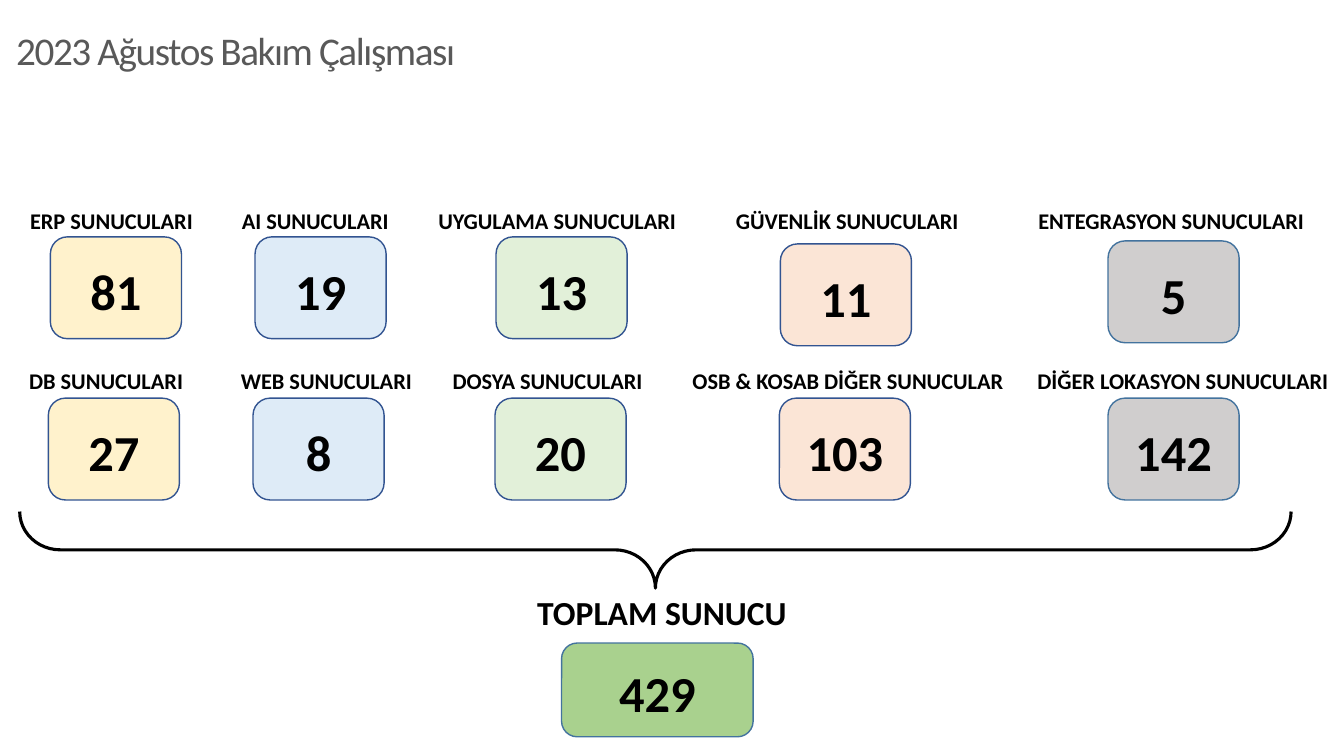
from dataclasses import dataclass

from lxml.etree import SubElement
from pptx import Presentation
from pptx.dml.color import RGBColor
from pptx.enum.shapes import MSO_SHAPE as Shape
from pptx.enum.text import MSO_ANCHOR as Anchor, MSO_AUTO_SIZE as AutoSize, PP_ALIGN as Align
from pptx.oxml.ns import qn
from pptx.util import Inches, Pt


@dataclass(frozen=True)
class Theme:
    font: str = "Calibri"
    white: str = "FFFFFF"
    black: str = "000000"
    title: str = "595959"
    blue_line: str = "325491"
    teal_line: str = "43739E"
    yellow: str = "FFF2CC"
    blue: str = "DEEBF7"
    green: str = "E2F0D9"
    orange: str = "FBE5D6"
    grey: str = "D0CECE"
    total: str = "A9D18E"
    title_pt: int = 28
    label_pt: int = 16
    total_pt: int = 24
    count_pt: int = 36


@dataclass(frozen=True)
class Box:
    left: float
    top: float
    width: float
    height: float

    def lengths(self) -> list:
        return [Inches(v) for v in (self.left, self.top, self.width, self.height)]


@dataclass(frozen=True)
class Card:
    box: Box
    count: int
    fill: str
    line: str


@dataclass(frozen=True)
class ServerRow:
    label_box: Box
    labels: list[str]
    tabs: list[float]
    counts: list[int]
    lefts: list[float]
    tops: list[float]


T = Theme()
CARD_W, CARD_H = 1.3, 1.01
COLUMN_COLOURS = [(T.yellow, T.blue_line), (T.blue, T.blue_line), (T.green, T.blue_line),
                  (T.orange, T.blue_line), (T.grey, T.teal_line)]
ROWS = [
    ServerRow(Box(0.2, 1.99, 13.13, 0.38),
              ["ERP SUNUCULARI", "AI SUNUCULARI", "UYGULAMA SUNUCULARI",
               "GÜVENLİK SUNUCULARI", "ENTEGRASYON SUNUCULARI"],
              [2.1, 4.05, 7.0, 10.0], [81, 19, 13, 11, 5],
              [0.5, 2.53, 4.92, 7.74, 10.99], [2.35, 2.35, 2.35, 2.42, 2.39]),
    ServerRow(Box(0.19, 3.57, 13.14, 0.38),
              ["DB SUNUCULARI", "WEB SUNUCULARI", "DOSYA SUNUCULARI",
               "OSB & KOSAB DİĞER SUNUCULAR", "DİĞER LOKASYON SUNUCULARI"],
              [2.1, 4.2, 6.58, 10.0], [27, 8, 20, 103, 142],
              [0.48, 2.51, 4.91, 7.73, 10.99], [3.95] * 5),
]


def rgb(colour: str) -> RGBColor:
    return RGBColor.from_string(colour)


def set_text(tf, text: str, size: int, colour: str = T.black, bold: bool = True):
    tf.text = text
    p = tf.paragraphs[0]
    p.line_spacing = 1.07
    p.space_after = Pt(8)
    f = p.runs[0].font
    f.name, f.size, f.bold = T.font, Pt(size), bold
    f.color.rgb = rgb(colour)
    return p


def add_label(s, box: Box, text: str, size: int):
    tf = s.shapes.add_textbox(*box.lengths()).text_frame
    tf.word_wrap = True
    return set_text(tf, text, size)


def add_card(s, card: Card) -> None:
    sp = s.shapes.add_shape(Shape.ROUNDED_RECTANGLE, *card.box.lengths())
    sp.shadow.inherit = False
    sp.fill.solid()
    sp.fill.fore_color.rgb = rgb(card.fill)
    sp.line.color.rgb = rgb(card.line)
    sp.line.width = Pt(1)
    sp.text_frame.vertical_anchor = Anchor.MIDDLE
    set_text(sp.text_frame, str(card.count), T.count_pt).alignment = Align.CENTER


def add_row(s, row: ServerRow) -> None:
    p = add_label(s, row.label_box, "\t".join(row.labels), T.label_pt)
    # Tab stops line the labels up with their columns
    tab_list = SubElement(p._p.get_or_add_pPr(), qn("a:tabLst"))
    for tab in row.tabs:
        SubElement(tab_list, qn("a:tab"), pos=str(Inches(tab)), algn="l")
    for left, top, count, (fill, line) in zip(row.lefts, row.tops, row.counts, COLUMN_COLOURS):
        add_card(s, Card(Box(left, top, CARD_W, CARD_H), count, fill, line))


def add_title(s, box: Box, text: str) -> None:
    sp = s.shapes.title
    sp.left, sp.top, sp.width, sp.height = box.lengths()
    tf = sp.text_frame
    tf.word_wrap = True
    tf.auto_size = AutoSize.NONE
    tf.vertical_anchor = Anchor.MIDDLE
    tf.margin_left = tf.margin_right = Inches(0.16)
    tf.margin_top = tf.margin_bottom = Inches(0.1)
    p = set_text(tf, text, T.title_pt, T.title, bold=False)
    p.alignment = Align.LEFT
    p.line_spacing = 0.9
    p.space_after = Pt(0)
    p.runs[0]._r.get_or_add_rPr().set("spc", "-100")


def add_brace(s, box: Box) -> None:
    sp = s.shapes.add_shape(Shape.RIGHT_BRACE, *box.lengths())
    sp.rotation = 90
    sp.adjustments[0], sp.adjustments[1] = 0.53, 0.5
    sp.shadow.inherit = False
    sp.fill.background()
    sp.line.color.rgb = rgb(T.black)
    sp.line.width = Pt(2.25)


def main() -> None:
    prs = Presentation()
    prs.slide_width, prs.slide_height = Inches(13.33), Inches(7.5)
    s = prs.slides.add_slide(prs.slide_layouts[5])
    s.background.fill.solid()
    s.background.fill.fore_color.rgb = rgb(T.white)

    # Title
    add_title(s, Box(0, 0.16, 11.78, 0.73), "2023 Ağustos Bakım Çalışması")

    # Server counts by type
    for row in ROWS:
        add_row(s, row)

    # Total
    add_label(s, Box(5.23, 5.79, 2.86, 0.51), "TOPLAM SUNUCU", T.total_pt)
    add_card(s, Card(Box(5.57, 6.38, 1.9, 0.93), 429, T.total, T.teal_line))
    add_brace(s, Box(6.12, -0.85, 0.76, 12.61))

    prs.save("out.pptx")


if __name__ == "__main__":
    main()
